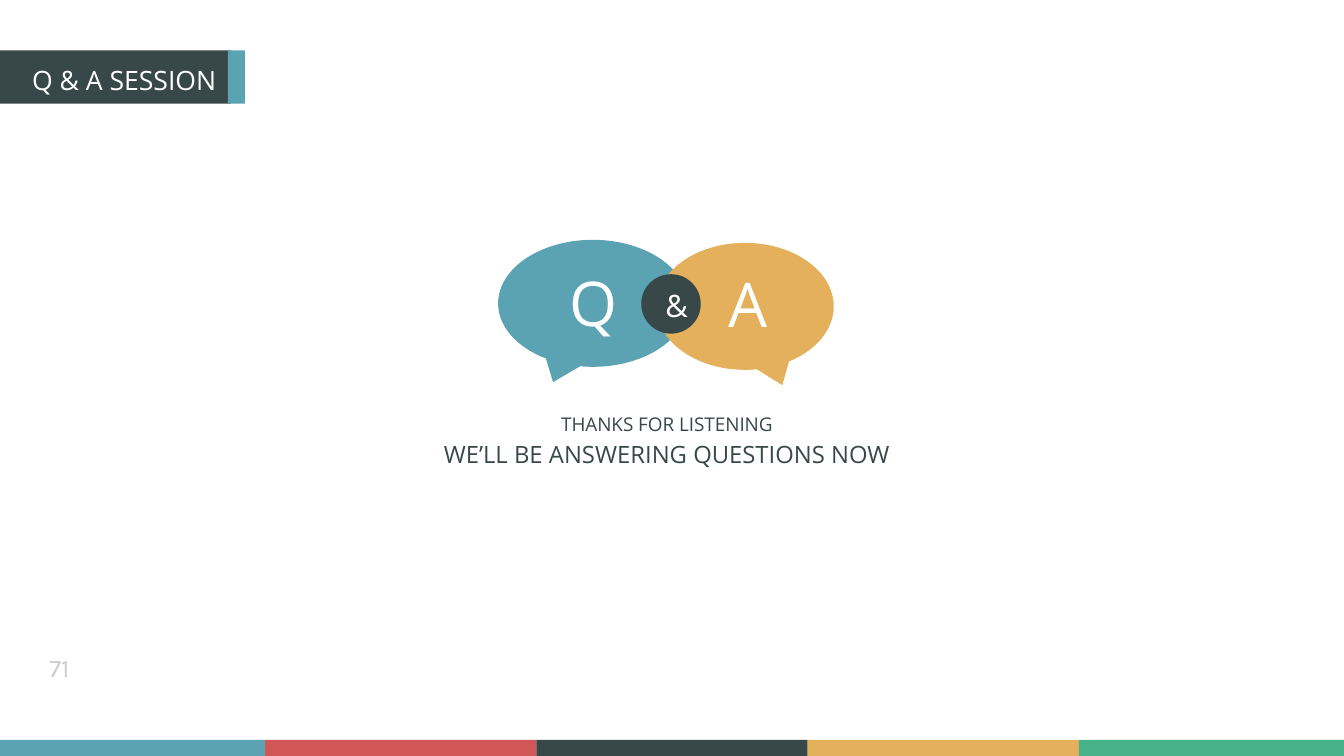
from dataclasses import dataclass

from pptx import Presentation
from pptx.dml.color import RGBColor
from pptx.enum.shapes import MSO_SHAPE
from pptx.enum.text import MSO_ANCHOR, PP_ALIGN
from pptx.util import Inches, Pt

RECTANGLE = MSO_SHAPE.RECTANGLE
OVAL = MSO_SHAPE.OVAL
BUBBLE = MSO_SHAPE.OVAL_CALLOUT
LEFT = PP_ALIGN.LEFT
CENTER = PP_ALIGN.CENTER
TOP = MSO_ANCHOR.TOP
MIDDLE = MSO_ANCHOR.MIDDLE


@dataclass(frozen=True)
class Theme:
    teal: str = "5BA2B2"
    red: str = "D15656"
    dark: str = "384849"
    amber: str = "E5B05C"
    green: str = "47B289"
    white: str = "FFFFFF"
    grey: str = "CCCCCC"
    font: str = "Open Sans"
    number_font: str = "Karla"
    letter_size: float = 44
    ampersand_size: float = 22
    title_size: float = 19
    number_size: float = 18
    message_size: float = 17
    thanks_size: float = 13.5


THEME = Theme()
SLIDE_WIDTH = 13.33
SLIDE_HEIGHT = 7.5


def add_filled_shape(slide, kind, left, top, width, height, color):
    shape = slide.shapes.add_shape(
        kind, Inches(left), Inches(top), Inches(width), Inches(height))
    shape.shadow.inherit = False
    shape.fill.solid()
    shape.fill.fore_color.rgb = RGBColor.from_string(color)
    shape.line.fill.background()
    return shape


def add_text(slide, text, left, top, width, height, *, size, color=THEME.white,
             font=THEME.font, align=LEFT, anchor=TOP, inset=(0.1, 0.05), wrap=True):
    box = slide.shapes.add_textbox(
        Inches(left), Inches(top), Inches(width), Inches(height))
    frame = box.text_frame
    frame.word_wrap = wrap
    frame.vertical_anchor = anchor
    frame.margin_left = frame.margin_right = Inches(inset[0])
    frame.margin_top = frame.margin_bottom = Inches(inset[1])
    paragraph = frame.paragraphs[0]
    paragraph.alignment = align
    run = paragraph.add_run()
    run.text = text
    run.font.name = font
    run.font.size = Pt(size)
    run.font.color.rgb = RGBColor.from_string(color)


def add_bubble(slide, left, top, width, color, tail):
    bubble = add_filled_shape(slide, BUBBLE, left, top, width, 1.26, color)
    bubble.adjustments[0] = tail
    bubble.adjustments[1] = 0.62


def add_footer(slide):
    add_text(slide, "71", 0.36, 6.44, 0.96, 0.36, size=THEME.number_size,
             color=THEME.grey, font=THEME.number_font, anchor=MIDDLE,
             inset=(0.13, 0.07), wrap=False)
    colors = (THEME.teal, THEME.red, THEME.dark, THEME.amber, THEME.green)
    edges = [0] + [2.63 + 2.69 * index for index in range(4)] + [SLIDE_WIDTH]
    for left, right, color in zip(edges, edges[1:], colors):
        add_filled_shape(slide, RECTANGLE, left, 7.34, right - left, 0.16, color)


def add_title(slide):
    add_filled_shape(slide, RECTANGLE, 0, 0.5, 2.29, 0.53, THEME.dark)
    add_filled_shape(slide, RECTANGLE, 2.26, 0.5, 0.17, 0.53, THEME.teal)
    add_text(slide, "Q & A SESSION", 0.22, 0.58, 2.07, 0.42, size=THEME.title_size)


def add_question_answer(slide):
    add_bubble(slide, 4.94, 2.38, 1.88, THEME.teal, -0.21)
    add_bubble(slide, 6.51, 2.41, 1.76, THEME.amber, 0.21)
    add_text(slide, "Q", 5.55, 2.58, 0.43, 0.84, size=THEME.letter_size)
    add_text(slide, "A", 7.13, 2.59, 0.43, 0.84, size=THEME.letter_size)
    add_filled_shape(slide, OVAL, 6.36, 2.72, 0.59, 0.59, THEME.dark)
    add_text(slide, "&", 6.5, 2.8, 0.46, 0.47, size=THEME.ampersand_size)


def add_message(slide):
    add_text(slide, "THANKS FOR LISTENING", 3.98, 4.04, 5.27, 0.33,
             size=THEME.thanks_size, color=THEME.dark, align=CENTER)
    add_text(slide, "WE’LL BE ANSWERING QUESTIONS NOW", 3.98, 4.31, 5.27, 0.39,
             size=THEME.message_size, color=THEME.dark, align=CENTER)


def main():
    presentation = Presentation()
    presentation.slide_width = Inches(SLIDE_WIDTH)
    presentation.slide_height = Inches(SLIDE_HEIGHT)
    slide = presentation.slides.add_slide(presentation.slide_layouts[6])
    add_footer(slide)
    add_question_answer(slide)
    add_message(slide)
    add_title(slide)
    presentation.save("out.pptx")


if __name__ == "__main__":
    main()
